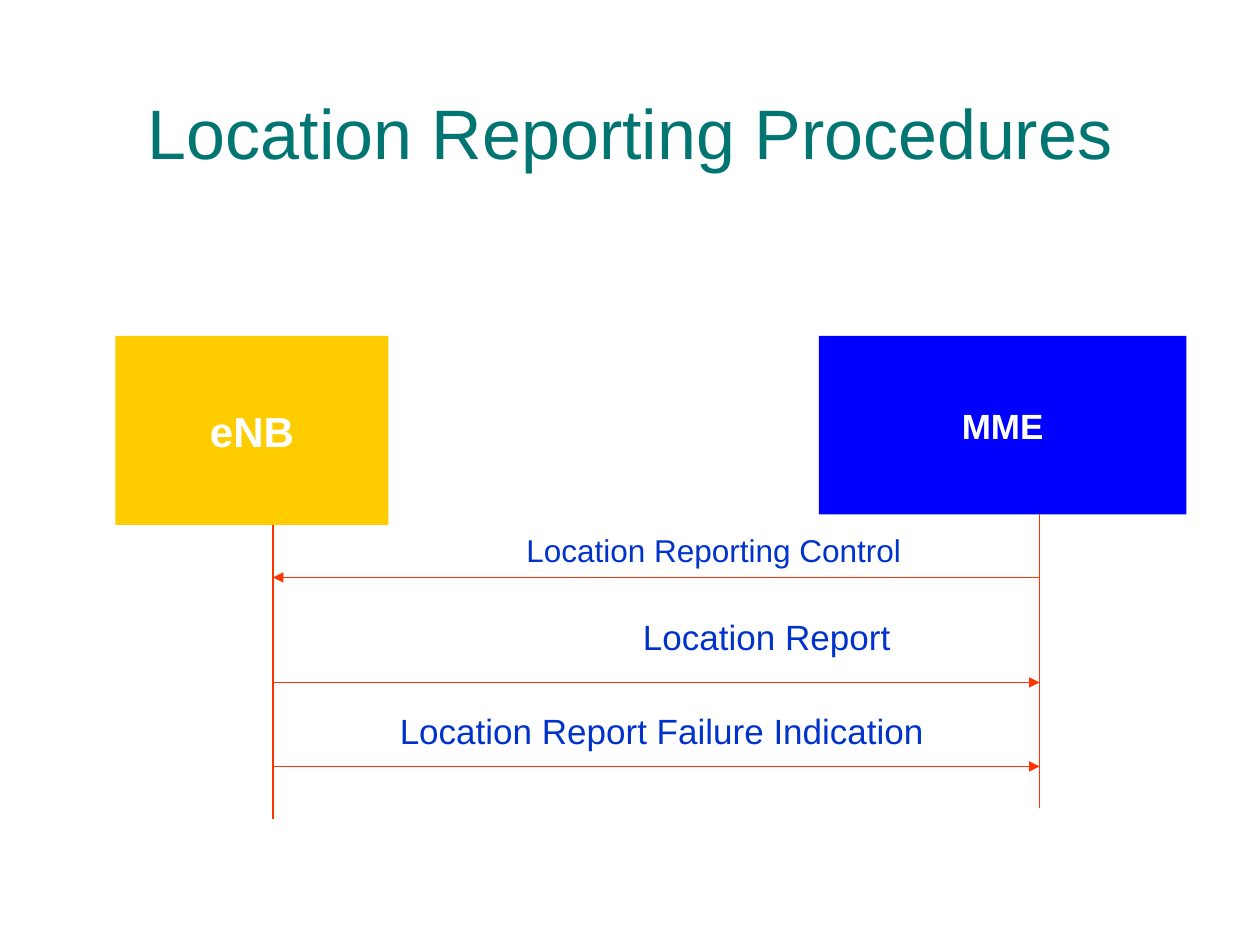
import dataclasses

import lxml.etree
import pptx
import pptx.dml.color
import pptx.enum.shapes
import pptx.enum.text
import pptx.oxml
import pptx.oxml.ns
import pptx.util

COLS, ROWS = 120, 90
CELL = pptx.util.Inches(10) // COLS
FONT = "Arial"
HEX = {"title": "007572", "enb": "FFCC00", "mme": "0000FF",
       "line": "FF3300", "label": "0033CC", "white": "FFFFFF"}
ALIGN = pptx.enum.text.PP_ALIGN
ANCHOR = pptx.enum.text.MSO_ANCHOR


@dataclasses.dataclass
class Node:
    text: str
    col: int
    row: int
    wide: int
    high: int
    fill: str
    size: int
    life: int  # column of the lifeline


@dataclasses.dataclass
class Message:
    text: str
    row: int
    left: bool  # the arrow points left
    col: float
    top: int
    wide: float
    high: float
    size: int
    before: float = 0


NODES = [
    Node("eNB", 11, 32, 26, 18, "enb", 24, 26),
    Node("MME", 78, 32, 35, 17, "mme", 20, 99),
]
LIFE = 28
MESSAGES = [
    Message("Location Reporting Control", 55, True, 40, 50, 47, 4.8, 18, before=4.5),
    Message("Location Report", 65, False, 45, 58, 41, 5.3, 20),
    Message("Location Report Failure Indication", 73, False, 36.2, 67, 53, 5.3, 20),
]


def grid(*cells: float) -> list[int]:
    return [round(cell * CELL) for cell in cells]


def tint(key: str) -> pptx.dml.color.RGBColor:
    return pptx.dml.color.RGBColor.from_string(HEX[key])


def write(frame, text: str, size: int, color: str, align, bold: bool = False):
    frame.text = text
    para = frame.paragraphs[0]
    para.alignment = align
    font = para.font
    font.name, font.size, font.bold = FONT, pptx.util.Pt(size), bold
    font.color.rgb = tint(color)
    return para


def draw_line(slide, start: tuple, end: tuple, arrow: bool = False) -> None:
    kind = pptx.enum.shapes.MSO_CONNECTOR.STRAIGHT
    wire = slide.shapes.add_connector(kind, *grid(*start, *end))
    wire.line.color.rgb = tint("line")
    wire.line.width = pptx.util.Pt(0.75)
    qn = pptx.oxml.ns.qn
    item = wire._element
    item.remove(item.find(qn("p:style")))
    if arrow:
        lxml.etree.SubElement(item.spPr.find(qn("a:ln")), qn("a:tailEnd"),
                              type="triangle")
    lxml.etree.SubElement(item.spPr, qn("a:effectLst"))


def draw_node(slide, node: Node) -> None:
    kind = pptx.enum.shapes.MSO_SHAPE.RECTANGLE
    box = slide.shapes.add_shape(
        kind, *grid(node.col, node.row, node.wide, node.high))
    box.shadow.inherit = False
    box.fill.solid()
    box.fill.fore_color.rgb = tint(node.fill)
    box.line.fill.background()
    frame = box.text_frame
    frame.word_wrap = False
    frame.vertical_anchor = ANCHOR.MIDDLE
    write(frame, node.text, node.size, "white", ALIGN.CENTER, bold=True)
    foot = node.row + node.high
    draw_line(slide, (node.life, foot), (node.life, foot + LIFE))


def draw_message(slide, note: Message) -> None:
    ends = [(node.life, note.row) for node in NODES]
    if note.left:
        ends.reverse()
    draw_line(slide, *ends, arrow=True)
    box = slide.shapes.add_textbox(*grid(note.col, note.top, note.wide, note.high))
    box.text_frame.word_wrap = True
    para = write(box.text_frame, note.text, note.size, "label", ALIGN.RIGHT)
    para.space_before = pptx.util.Pt(note.before)


def draw_title(slide, text: str) -> None:
    title = slide.shapes.title
    title.left, title.top, title.width, title.height = grid(4, 8.5, 112, 15)
    frame = title.text_frame
    frame.vertical_anchor = ANCHOR.TOP
    frame.margin_top = 0
    write(frame, text, 40, "title", ALIGN.CENTER)


def main() -> None:
    deck = pptx.Presentation()
    deck.slide_width, deck.slide_height = grid(COLS, ROWS)
    slide = deck.slides.add_slide(deck.slide_layouts.get_by_name("Title Only"))
    draw_title(slide, "Location Reporting Procedures")
    for node in NODES:
        draw_node(slide, node)
    for note in MESSAGES:
        draw_message(slide, note)
    deck.save("out.pptx")


if __name__ == "__main__":
    main()
